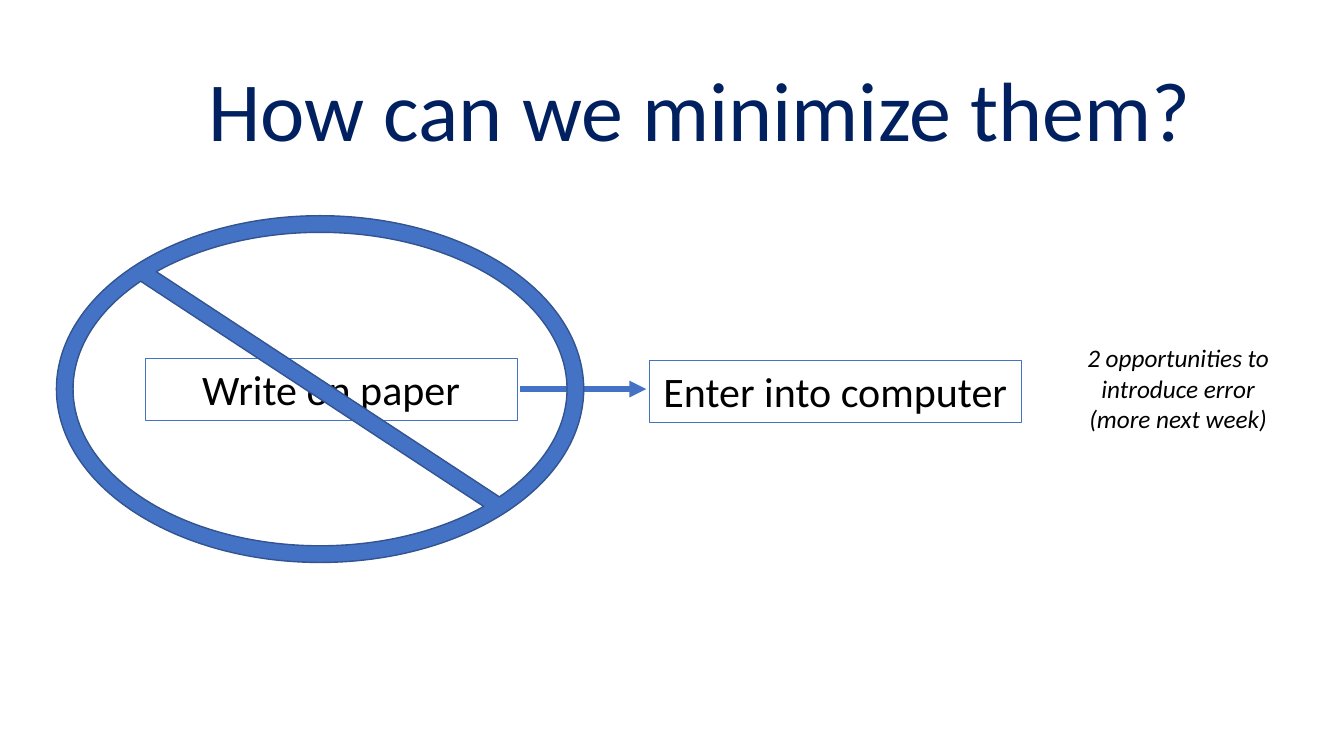
from dataclasses import dataclass

from lxml.etree import SubElement
from pptx import Presentation
from pptx.dml.color import RGBColor
from pptx.enum.shapes import MSO_CONNECTOR, MSO_SHAPE
from pptx.enum.text import MSO_ANCHOR, PP_ALIGN
from pptx.oxml.ns import qn
from pptx.util import Pt

EMU_PER_PX = 9144  # 100 px to the inch


@dataclass(frozen=True)
class Theme:
    font: str = "Calibri"
    title_color: str = "002060"
    text_color: str = "000000"
    accent: str = "4472C4"
    accent_edge: str = "325491"
    title_size: int = 60
    step_size: int = 30
    note_size: int = 18


THEME = Theme()


def px(*lengths):
    return [length * EMU_PER_PX for length in lengths]


def set_line(line, color, width):
    line.color.rgb = RGBColor.from_string(color)
    line.width = Pt(width)


def write_text(shape, text, *, size, color=THEME.text_color, italic=False):
    """Fill a shape with centred text, one paragraph per line."""
    frame = shape.text_frame
    frame.word_wrap = True
    frame.vertical_anchor = MSO_ANCHOR.TOP
    frame.text = text
    for paragraph in frame.paragraphs:
        paragraph.alignment = PP_ALIGN.CENTER
        font = paragraph.font
        font.name = THEME.font
        font.size = Pt(size)
        font.italic = italic
        font.color.rgb = RGBColor.from_string(color)


def add_label(slide, box, text, **text_format):
    write_text(slide.shapes.add_textbox(*px(*box)), text, **text_format)


def add_step(slide, box, text):
    shape = slide.shapes.add_shape(MSO_SHAPE.RECTANGLE, *px(*box))
    shape.shadow.inherit = False
    shape.fill.background()
    set_line(shape.line, THEME.accent, 0.75)
    write_text(shape, text, size=THEME.step_size)


def add_arrow(slide, start, end):
    arrow = slide.shapes.add_connector(MSO_CONNECTOR.STRAIGHT, *px(*start, *end))
    set_line(arrow.line, THEME.accent, 4)
    properties = arrow.element.spPr
    SubElement(properties.find(qn("a:ln")), qn("a:tailEnd"), type="triangle")
    SubElement(properties, qn("a:effectLst"))


def add_prohibition(slide, box):
    sign = slide.shapes.add_shape(MSO_SHAPE.NO_SYMBOL, *px(*box))
    sign.shadow.inherit = False
    sign.adjustments[0] = 0.048
    sign.fill.solid()
    sign.fill.fore_color.rgb = RGBColor.from_string(THEME.accent)
    set_line(sign.line, THEME.accent_edge, 1)


def main():
    presentation = Presentation()
    presentation.slide_width, presentation.slide_height = px(1333, 750)
    slide = presentation.slides.add_slide(presentation.slide_layouts[6])

    # Title
    add_label(slide, (110, 52, 1168, 111), "How can we minimize them?",
              size=THEME.title_size, color=THEME.title_color)

    # Data entry steps
    add_step(slide, (144, 356, 369, 61), "Write on paper")
    add_step(slide, (644, 358, 369, 61), "Enter into computer")
    add_arrow(slide, (516, 386), (641, 386))

    # Side note
    add_label(slide, (1051, 335, 235, 101),
              "2 opportunities to introduce error\n(more next week)",
              size=THEME.note_size, italic=True)

    # Sign crossing out the paper step
    add_prohibition(slide, (56, 214, 523, 344))

    presentation.save("out.pptx")


if __name__ == "__main__":
    main()
